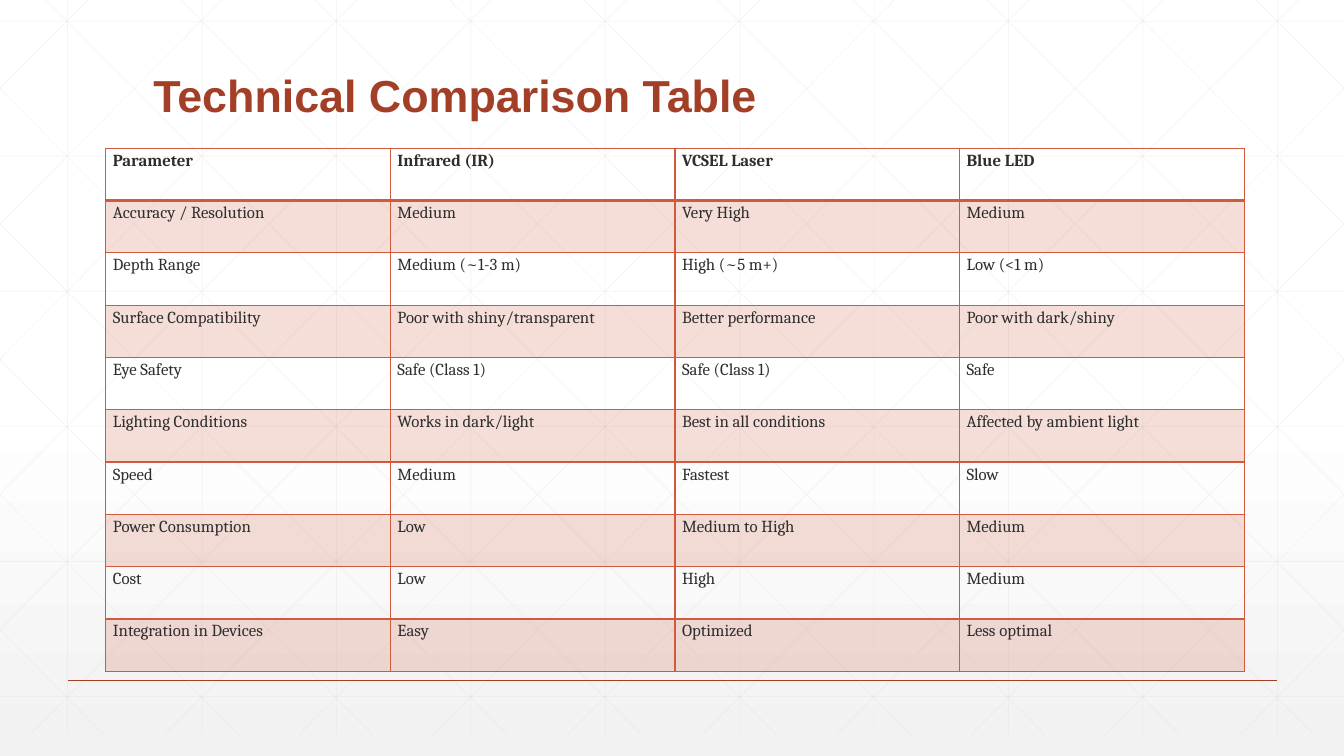
from dataclasses import dataclass

from pptx import Presentation
from pptx.dml.color import RGBColor
from pptx.enum.shapes import MSO_CONNECTOR as Link
from pptx.enum.text import MSO_ANCHOR as Anchor, PP_ALIGN as Align
from pptx.oxml import parse_xml
from pptx.oxml.ns import nsdecls, qn
from pptx.oxml.xmlchemy import OxmlElement as Node
from pptx.util import Inches, Pt


@dataclass(frozen=True)
class Theme:
    white: str = "FFFFFF"
    fade: str = "F2F2F2"
    mesh: str = "D9D9D9"
    brick: str = "A43F27"
    coral: str = "D15A3E"
    ink: str = "2D2E2D"
    head: str = "Arial"
    body: str = "Cambria"
    title: int = 32
    cell: int = 12


LOOK = Theme()
WIDE, HIGH = 13.33, 7.5
TOP, BASE = -0.21, 7.29
STEP = 4 / 3

ROWS = [
    ("Parameter", "Infrared (IR)", "VCSEL Laser", "Blue LED"),
    ("Accuracy / Resolution", "Medium", "Very High", "Medium"),
    ("Depth Range", "Medium (~1-3 m)", "High (~5 m+)", "Low (<1 m)"),
    ("Surface Compatibility", "Poor with shiny/transparent",
     "Better performance", "Poor with dark/shiny"),
    ("Eye Safety", "Safe (Class 1)", "Safe (Class 1)", "Safe"),
    ("Lighting Conditions", "Works in dark/light",
     "Best in all conditions", "Affected by ambient light"),
    ("Speed", "Medium", "Fastest", "Slow"),
    ("Power Consumption", "Low", "Medium to High", "Medium"),
    ("Cost", "Low", "High", "Medium"),
    ("Integration in Devices", "Easy", "Optimized", "Less optimal"),
]


def assign(obj, values):
    for name, value in values.items():
        setattr(obj, name, value)


def style(font, face, size, color, bold):
    assign(font, {"name": face, "size": Pt(size), "bold": bold})
    font.color.rgb = RGBColor.from_string(color)


def fade(holder, share):
    """Set the opacity, in percent, of the solid colour inside an element."""
    alpha = Node("a:alpha")
    alpha.set("val", str(share * 1000))
    holder.find(".//" + qn("a:srgbClr")).append(alpha)


def draw_line(shapes, start, end, color, width, share=100):
    line = shapes.add_connector(Link.STRAIGHT, *map(Inches, start + end))
    line.line.width = Pt(width)
    line.line.color.rgb = RGBColor.from_string(color)
    props = line.element.spPr
    if share < 100:
        fade(props, share)
    props.append(Node("a:effectLst"))


def paint_back(slide):
    slide.background.fill.solid()
    solid = slide.element.find(".//" + qn("p:bgPr")).find(qn("a:solidFill"))
    grad = parse_xml(
        f'<a:gradFill {nsdecls("a")} rotWithShape="1"><a:gsLst>'
        f'<a:gs pos="0"><a:srgbClr val="{LOOK.white}"/></a:gs>'
        f'<a:gs pos="53000"><a:srgbClr val="{LOOK.white}"/></a:gs>'
        f'<a:gs pos="100000"><a:srgbClr val="{LOOK.fade}">'
        '<a:alpha val="65000"/></a:srgbClr></a:gs>'
        '</a:gsLst><a:lin ang="5400000" scaled="0"/></a:gradFill>')
    solid.getparent().replace(solid, grad)


def draw_mesh(slide):
    """Draw the upright, level and crossing diagonal lines of the backdrop."""
    lines = []
    for i in range(10):
        x = 0.67 + STEP * i
        lines.append(((x, TOP), (x, BASE)))
    for i in range(6):
        y = 0.21 + 1.34 * i
        lines.append(((0, y), (WIDE, y)))
    run = 7.45
    slope = (BASE - TOP) / run
    falls = []
    for i in range(-5, 10):
        x = 0.25 + STEP * i
        falls.append([(x + t, TOP + t * slope)
                      for t in (max(0, -x), min(run, WIDE - x))])
    lines += falls
    lines += [[(WIDE - x, y) for x, y in fall] for fall in falls]
    group = slide.shapes.add_group_shape()
    for start, end in lines:
        draw_line(group.shapes, start, end, LOOK.mesh, 0.5, 25)


def set_title(slide, text):
    title = slide.shapes.title
    assign(title, {"left": Inches(1.42), "top": Inches(0.55),
                   "width": Inches(10.5), "height": Inches(1.25)})
    frame = title.text_frame
    frame.text = text
    assign(frame, {"vertical_anchor": Anchor.BOTTOM, "word_wrap": True,
                   "margin_bottom": Inches(0.59)})
    para = frame.paragraphs[0]
    assign(para, {"alignment": Align.LEFT, "line_spacing": 0.9})
    style(para.runs[0].font, LOOK.head, LOOK.title, LOOK.brick, True)
    title.element.getparent().append(title.element)


def edge_cell(cell, head):
    props = cell._tc.get_or_add_tcPr()
    for side in "LRTB":
        width = 2 if head and side == "B" else 1
        props.append(parse_xml(
            f'<a:ln{side} {nsdecls("a")} w="{Pt(width)}"><a:solidFill>'
            f'<a:srgbClr val="{LOOK.coral}"/></a:solidFill></a:ln{side}>'))


def fill_cell(cell, text, row):
    edge_cell(cell, row == 0)
    if row % 2:
        cell.fill.solid()
        cell.fill.fore_color.rgb = RGBColor.from_string(LOOK.coral)
        fade(cell._tc.tcPr.find(qn("a:solidFill")), 20)
    else:
        cell.fill.background()
    assign(cell, {"margin_left": Inches(0.07), "margin_right": Inches(0.07),
                  "margin_top": 0, "margin_bottom": 0})
    cell.text = text
    para = cell.text_frame.paragraphs[0]
    assign(para, {"line_spacing": 1.15, "space_after": Pt(10)})
    style(para.runs[0].font, LOOK.body, LOOK.cell, LOOK.ink, row == 0)


def add_grid(slide, rows):
    table = slide.shapes.add_table(
        len(rows), len(rows[0]), Inches(1.05), Inches(1.47),
        Inches(11.29), Inches(5.19)).table
    assign(table, {"first_row": False, "horz_banding": False})
    for r, row in enumerate(rows):
        for c, text in enumerate(row):
            fill_cell(table.cell(r, c), text, r)


def main():
    deck = Presentation()
    assign(deck, {"slide_width": Inches(WIDE), "slide_height": Inches(HIGH)})
    slide = deck.slides.add_slide(deck.slide_layouts[5])
    paint_back(slide)
    draw_mesh(slide)
    draw_line(slide.shapes, (0.67, 6.75), (12.67, 6.75), LOOK.brick, 1)
    set_title(slide, "Technical Comparison Table")
    add_grid(slide, ROWS)
    deck.save("out.pptx")


if __name__ == "__main__":
    main()
